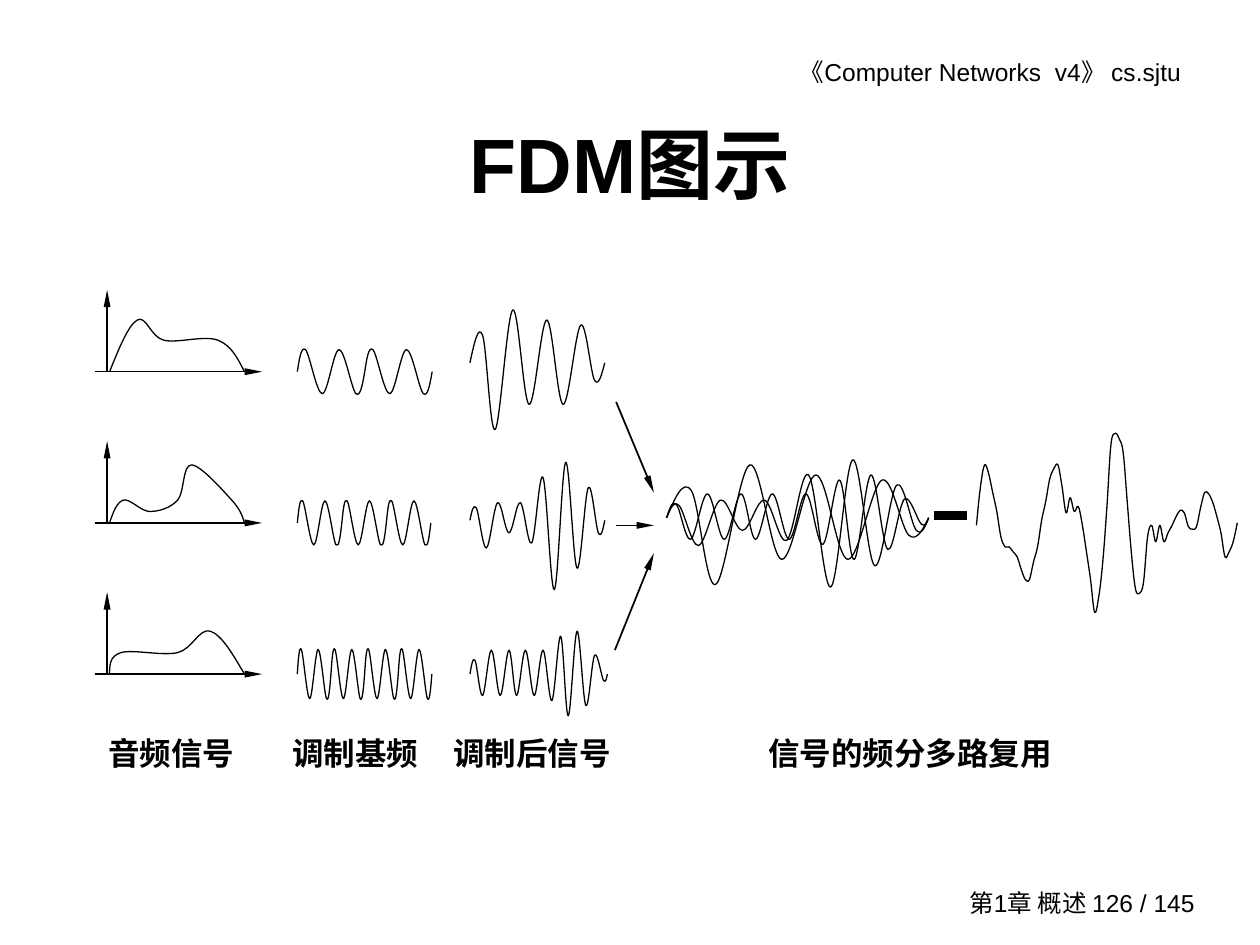
from lxml import etree
from pptx import Presentation
from pptx.dml.color import RGBColor
from pptx.enum.shapes import MSO_CONNECTOR
from pptx.enum.text import MSO_ANCHOR, PP_ALIGN
from pptx.oxml.ns import qn
from pptx.util import Inches, Pt

STRAIGHT = MSO_CONNECTOR.STRAIGHT
TOP, MIDDLE = MSO_ANCHOR.TOP, MSO_ANCHOR.MIDDLE
LEFT, RIGHT, CENTER = PP_ALIGN.LEFT, PP_ALIGN.RIGHT, PP_ALIGN.CENTER
COLORS = {"ink": "000000"}
FONT = "Arial"
THIN, MEDIUM, THICK = 0.75, 1, 5

ROWS = [2.95 + 1.2 * i for i in range(3)]
AXIS_X, CARRIER_X, MODULATED_X = 0.85, 2.36, 3.73
MULTIPLEX_X, MULTIPLEX_W, MULTIPLEX_Y = 5.29, 2.08, 4.11
SUM_X, SUM_W = 7.75, 2.07

AUDIO = [
    [(0, 0), (0.22, -0.41), (0.43, -0.25), (0.86, -0.25), (1.07, 0)],
    [(0, 0), (0.11, -0.18), (0.32, -0.09), (0.54, -0.18), (0.65, -0.46),
     (0.97, -0.18), (1.07, 0)],
    [(0, 0), (0.09, -0.17), (0.54, -0.17), (0.8, -0.34), (1.07, 0)],
]
CARRIER_CYCLE = [(0, 0), (0.12, -1), (0.37, 1), (0.62, -1), (0.87, 1), (1, 0)]
CARRIERS = [(0.535, 0.175, 2), (0.353, 0.175, 3), (0.267, 0.195, 4)]
MODULATED = [
    (2.88, [0, 0.1, 0.2, 0.34, 0.47, 0.61, 0.74, 0.88, 0.99, 1.07],
     [0, -0.22, 0.53, -0.42, 0.33, -0.34, 0.33, -0.3, 0.14, 0]),
    (4.13, [0, 0.05, 0.13, 0.22, 0.31, 0.4, 0.49, 0.58, 0.67, 0.76, 0.85,
            0.94, 1.02, 1.07],
     [0, -0.1, 0.22, -0.14, 0.1, -0.14, 0.18, -0.34, 0.55, -0.46, 0.38,
      -0.26, 0.1, 0]),
    (5.35, [0, 0.04, 0.1, 0.17, 0.24, 0.31, 0.37, 0.44, 0.51, 0.58, 0.65,
            0.72, 0.78, 0.85, 0.92, 0.99, 1.06, 1.09],
     [0, -0.11, 0.17, -0.19, 0.17, -0.19, 0.17, -0.19, 0.17, -0.19, 0.21,
      -0.3, 0.33, -0.34, 0.25, -0.15, 0.05, 0]),
]
SUM_LEVELS = [
    4.17, 3.86, 3.69, 3.76, 3.91, 4.06, 4.26, 4.34, 4.34, 4.38, 4.42, 4.52, 4.6,
    4.6, 4.46, 4.34, 4.13, 3.98, 3.8, 3.72, 3.69, 3.86, 4.07, 3.95, 4.06, 4.02,
    4.17, 4.38, 4.6, 4.86, 4.74, 4.46, 4.03, 3.53, 3.44, 3.48, 3.59, 3.98, 4.38,
    4.67, 4.71, 4.62, 4.26, 4.17, 4.3, 4.17, 4.3, 4.23, 4.17, 4.1, 4.05, 4.07,
    4.18, 4.2, 4.18, 4.03, 3.91, 3.92, 3.99, 4.1, 4.23, 4.42, 4.38, 4.3, 4.15,
]
LABELS = [(0.76, 1.26, "音频信号"), (2.22, 1.26, "调制基频"),
          (3.5, 1.49, "调制后信号"), (6, 2.75, "信号的频分多路复用")]
MERGE_ARROWS = [((4.89, 3.19), (5.19, 3.91)), ((4.89, 4.17), (5.19, 4.17)),
                ((4.88, 5.16), (5.19, 4.39))]


def rgb(name):
    return RGBColor.from_string(COLORS[name])


def write(shape, text, size, bold, align, anchor):
    tf = shape.text_frame
    tf.text = text
    tf.word_wrap = True
    tf.vertical_anchor = anchor
    p = tf.paragraphs[0]
    p.alignment = align
    for r in p.runs:
        r.font.name = FONT
        r.font.size = Pt(size)
        r.font.bold = bold
        r.font.color.rgb = rgb("ink")


def place(shape, left, top, width, height):
    shape.left, shape.top = Inches(left), Inches(top)
    shape.width, shape.height = Inches(width), Inches(height)


def add_text(s, box, text, size, bold=False, align=LEFT, anchor=TOP):
    shape = s.shapes.add_textbox(*[Inches(v) for v in box])
    write(shape, text, size, bold, align, anchor)


def add_line(s, start, end, width, arrow=True):
    line = s.shapes.add_connector(STRAIGHT, *[Inches(v) for v in start + end])
    line.line.color.rgb = rgb("ink")
    line.line.width = Pt(width)
    outline = line._element.spPr.find(qn("a:ln"))
    if arrow:
        etree.SubElement(outline, qn("a:tailEnd"), type="triangle", w="sm", len="lg")
    else:
        outline.set("cap", "sq")
    etree.SubElement(line._element.spPr, qn("a:effectLst"))


def midpoint(a, b):
    return (a[0] + b[0]) / 2, (a[1] + b[1]) / 2


def spline(knots):
    tangents = [((b[0] - a[0]) / 6, (b[1] - a[1]) / 6)
                for a, b in zip(knots, knots[2:])]
    arriving = [(k[0] - t[0], k[1] - t[1]) for k, t in zip(knots[1:], tangents)]
    leaving = [(k[0] + t[0], k[1] + t[1]) for k, t in zip(knots[1:], tangents)]
    leaving.insert(0, midpoint(knots[0], arriving[0]))
    arriving.append(midpoint(knots[-1], leaving[-1]))
    return [pt for trio in zip(leaving, arriving, knots[1:]) for pt in trio]


def add_curve(s, knots):
    start, *points = [(Inches(x), Inches(y)) for x, y in knots[:1] + spline(knots)]
    builder = s.shapes.build_freeform(*start)
    builder.add_line_segments(points, close=False)
    curve = builder.convert_to_shape()
    segments = list(curve._element.iter(qn("a:lnTo")))
    outline = segments[0].getparent()
    for i in range(0, len(segments), 3):
        bezier = etree.SubElement(outline, qn("a:cubicBezTo"))
        for segment in segments[i:i + 3]:
            bezier.append(segment[0])
            outline.remove(segment)
    curve.fill.background()
    curve.line.color.rgb = rgb("ink")
    curve.line.width = Pt(THIN)
    curve.shadow.inherit = False


def scaled(knots, left, base, x_scale=1, y_scale=1):
    return [(left + x * x_scale, base + y * y_scale) for x, y in knots]


def add_audio_plot(s, base, knots):
    add_line(s, (AXIS_X, base), (AXIS_X, base - 0.65), THIN)
    add_line(s, (AXIS_X - 0.1, base), (AXIS_X + 1.23, base), THIN)
    add_curve(s, scaled(knots, AXIS_X + 0.02, base))


def add_carrier(s, base, period, amplitude, count):
    for i in range(count):
        add_curve(s, scaled(CARRIER_CYCLE, CARRIER_X + i * period, base,
                            period, amplitude))


def add_modulated(s, base, times, levels):
    knots = list(zip(times, levels))
    add_curve(s, scaled(knots, MODULATED_X, base))
    add_curve(s, scaled(knots, MULTIPLEX_X, MULTIPLEX_Y, MULTIPLEX_W / times[-1]))


def main():
    prs = Presentation()
    prs.slide_width, prs.slide_height = Inches(10), Inches(7.5)
    s = prs.slides.add_slide(prs.slide_layouts[5])
    title = s.shapes.title
    place(title, 0.75, 0.67, 8.5, 1.25)
    write(title, "FDM图示", 44, True, CENTER, MIDDLE)
    add_text(s, (5.35, 0.4, 4.12, 0.34), "《Computer Networks  v4》 cs.sjtu", 14,
             align=RIGHT)
    add_text(s, (7.5, 7, 2.08, 0.33), "第1章 概述 126 / 145", 14,
             align=RIGHT, anchor=MIDDLE)

    for base, knots, carrier, modulated in zip(ROWS, AUDIO, CARRIERS, MODULATED):
        add_audio_plot(s, base, knots)
        add_carrier(s, base, *carrier)
        add_modulated(s, *modulated)

    step = SUM_W / (len(SUM_LEVELS) - 1)
    add_curve(s, [(SUM_X + i * step, y) for i, y in enumerate(SUM_LEVELS)])

    for left, width, text in LABELS:
        add_text(s, (left, 5.78, width, 0.4), text, 18, bold=True)
    for start, end in MERGE_ARROWS:
        add_line(s, start, end, MEDIUM)
    add_line(s, (7.45, 4.09), (7.64, 4.09), THICK, arrow=False)
    prs.save("out.pptx")


if __name__ == "__main__":
    main()
